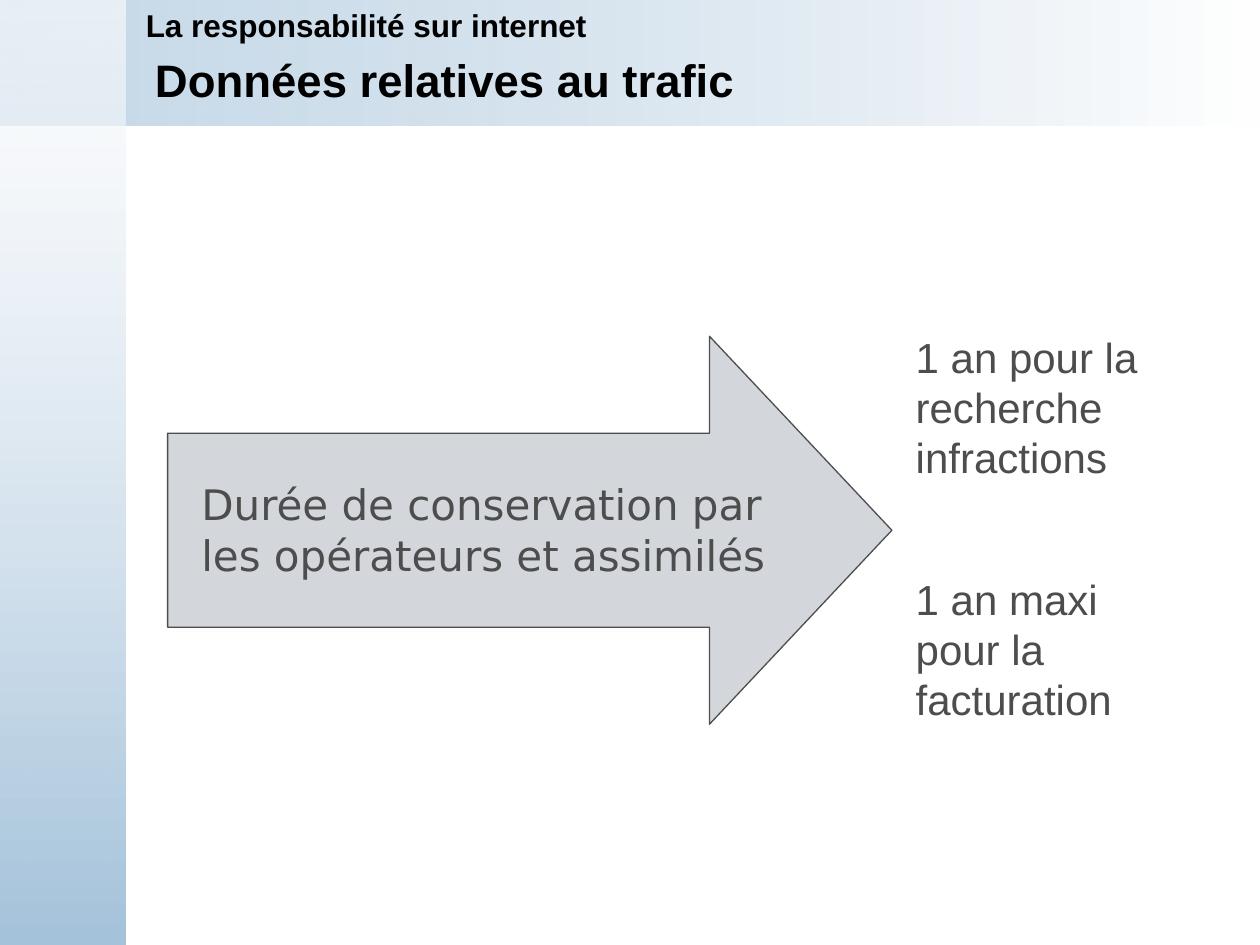
from dataclasses import dataclass

from lxml import etree
from pptx import Presentation
from pptx.dml.color import RGBColor
from pptx.enum.shapes import MSO_SHAPE
from pptx.enum.text import MSO_ANCHOR, PP_ALIGN
from pptx.oxml.ns import qn
from pptx.util import Cm, Pt

RECTANGLE = MSO_SHAPE.RECTANGLE
RIGHT_ARROW = MSO_SHAPE.RIGHT_ARROW
LEFT = PP_ALIGN.LEFT
MIDDLE = MSO_ANCHOR.MIDDLE
TITLE_ONLY = 5


@dataclass(frozen=True)
class Theme:
    blue: RGBColor = RGBColor(0xA5, 0xC3, 0xDB)
    white: RGBColor = RGBColor(0xFF, 0xFF, 0xFF)
    black: RGBColor = RGBColor(0x00, 0x00, 0x00)
    arrow: RGBColor = RGBColor(0xD3, 0xD7, 0xDB)
    grey: RGBColor = RGBColor(0x4D, 0x4D, 0x4D)
    font: str = "Arial"
    arrow_font: str = "DejaVu Sans"
    title_size: int = 26
    section_size: int = 18
    body_size: int = 24


THEME = Theme()


@dataclass(frozen=True)
class Box:
    """Place on the slide, in centimetres."""
    left: float
    top: float
    width: float
    height: float

    def lengths(self) -> tuple:
        return Cm(self.left), Cm(self.top), Cm(self.width), Cm(self.height)


@dataclass(frozen=True)
class Band:
    box: Box
    start: RGBColor
    end: RGBColor
    start_opacity: int
    angle: int


@dataclass(frozen=True)
class Label:
    text: str
    box: Box
    size: int = THEME.body_size
    font: str = THEME.font
    color: RGBColor = THEME.grey
    bold: bool = False
    fill: RGBColor | None = None


BANDS = (
    Band(Box(0, 0, 25.4, 2.54), THEME.blue, THEME.white, 62, 0),
    Band(Box(0, 0, 2.54, 19.05), THEME.white, THEME.blue, 59, 270),
)
TITLE = Label("Données relatives au trafic", Box(2.87, 0.84, 21.46, 1.52),
              THEME.title_size, color=THEME.black, bold=True)
ARROW_BOX = Box(3.38, 6.78, 14.6, 7.82)
LABELS = (
    Label("Durée de conservation par les opérateurs et assimilés",
          Box(3.81, 9.53, 12.9, 2.29), font=THEME.arrow_font),
    Label("1 an pour la recherche infractions", Box(18.21, 6.55, 5.28, 3.3),
          fill=THEME.white),
    Label("1 an maxi pour la facturation", Box(18.21, 11.43, 4.65, 3.3)),
    Label("La responsabilité sur internet", Box(2.69, 0, 22.71, 1.02),
          THEME.section_size, color=THEME.black, bold=True),
)


def draw_band(slide, band: Band) -> None:
    """Draw a gradient strip whose first colour is partly transparent."""
    strip = slide.shapes.add_shape(RECTANGLE, *band.box.lengths())
    strip.shadow.inherit = False
    strip.line.fill.background()
    strip.fill.gradient()
    strip.fill.gradient_angle = band.angle
    stops = strip.fill.gradient_stops
    for stop, color, position in zip(stops, (band.start, band.end), (0, 1)):
        stop.color.rgb = color
        stop.position = position
    first_color = next(strip.element.iter(qn("a:srgbClr")))
    alpha = etree.SubElement(first_color, qn("a:alpha"))
    alpha.set("val", str(band.start_opacity * 1000))


def write_text(frame, label: Label) -> None:
    frame.text = label.text
    frame.word_wrap = True
    paragraph = frame.paragraphs[0]
    paragraph.alignment = LEFT
    font = paragraph.runs[0].font
    font.name = label.font
    font.size = Pt(label.size)
    font.bold = label.bold
    font.color.rgb = label.color


def place_title(slide, label: Label) -> None:
    """Fill the title placeholder and bring it in front of the bands."""
    title = slide.shapes.title
    title.left, title.top, title.width, title.height = label.box.lengths()
    write_text(title.text_frame, label)
    title.text_frame.vertical_anchor = MIDDLE
    slide.shapes.element.append(title.element)


def draw_arrow(slide, box: Box) -> None:
    arrow = slide.shapes.add_shape(RIGHT_ARROW, *box.lengths())
    arrow.shadow.inherit = False
    arrow.adjustments[0] = 0.5
    arrow.adjustments[1] = 0.47
    arrow.fill.solid()
    arrow.fill.fore_color.rgb = THEME.arrow
    arrow.line.color.rgb = THEME.grey
    arrow.line.width = Pt(0.75)


def draw_label(slide, label: Label) -> None:
    text_box = slide.shapes.add_textbox(*label.box.lengths())
    if label.fill is not None:
        text_box.fill.solid()
        text_box.fill.fore_color.rgb = label.fill
    write_text(text_box.text_frame, label)


def main() -> None:
    presentation = Presentation()
    presentation.slide_width = Cm(25.4)
    presentation.slide_height = Cm(19.05)
    slide = presentation.slides.add_slide(presentation.slide_layouts[TITLE_ONLY])
    for band in BANDS:
        draw_band(slide, band)
    place_title(slide, TITLE)
    draw_arrow(slide, ARROW_BOX)
    for label in LABELS:
        draw_label(slide, label)
    presentation.save("out.pptx")


if __name__ == "__main__":
    main()
